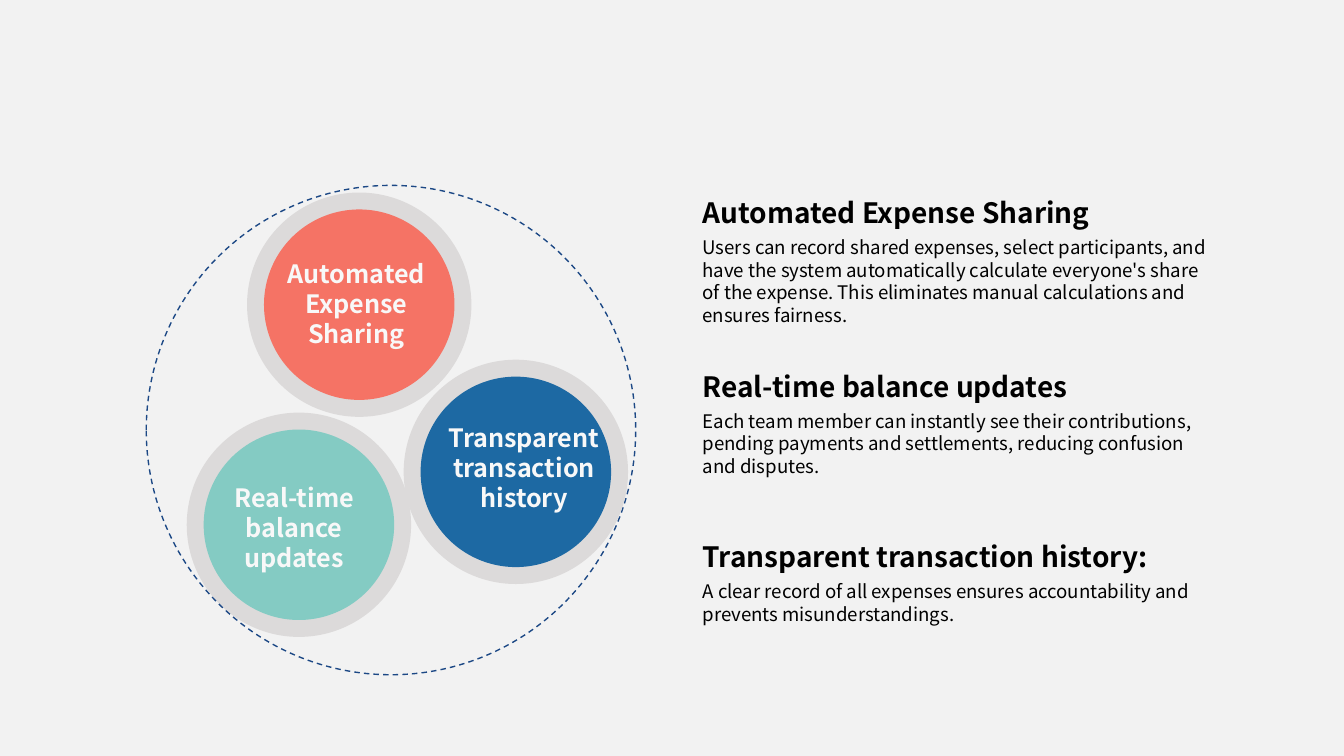
from typing import NamedTuple

from pptx import Presentation
from pptx.dml.color import RGBColor
from pptx.enum.dml import MSO_LINE
from pptx.enum.shapes import MSO_SHAPE
from pptx.enum.text import MSO_AUTO_SIZE, PP_ALIGN
from pptx.util import Cm, Pt

FONT = "Noto Sans CJK SC"
COLORS = {
    "background": "F2F2F2",
    "ring": "DCDADA",
    "orbit": "1C4885",
    "teal": "84CBC3",
    "blue": "1D69A3",
    "coral": "F57365",
    "text": "000000",
    "label": "F8F8F8",
}
RING_D, DISC_D, ORBIT_D = 4.24, 3.6, 9.25
TEXT_LEFT, BODY_W, BODY_DROP = 13.03, 10.18, 0.76


class Bubble(NamedTuple):
    label: str
    color: str
    cx: float
    cy: float
    label_left: float
    label_top: float
    label_w: float


class Feature(NamedTuple):
    heading: str
    body: str
    top: float
    heading_w: float
    body_h: float


BUBBLES = [
    Bubble("Real-time balance updates", "teal", 5.65, 9.92, 3.96, 8.99, 3.2),
    Bubble("Transparent transaction history", "blue", 9.75, 8.92, 8.18, 7.85, 3.45),
    Bubble("Automated Expense Sharing", "coral", 6.79, 5.76, 4.98, 4.75, 3.51),
]
FEATURES = [
    Feature("Automated Expense Sharing",
            "Users can record shared expenses, select participants, and have the "
            "system automatically calculate everyone's share of the expense. This "
            "eliminates manual calculations and ensures fairness.", 3.58, 8.15, 1.96),
    Feature("Real-time balance updates",
            "Each team member can instantly see their contributions, pending "
            "payments and settlements, reducing confusion and disputes.", 6.86, 7.62, 1.55),
    Feature("Transparent transaction history:",
            "A clear record of all expenses ensures accountability and prevents "
            "misunderstandings.", 10.08, 9.09, 1.12),
]


def rgb(name: str) -> RGBColor:
    return RGBColor.from_string(COLORS[name])


def add_circle(s, cx: float, cy: float, d: float, fill: str = "", line: str = ""):
    """Add a circle by its centre; a line, when given, is thin and dashed."""
    sp = s.shapes.add_shape(MSO_SHAPE.OVAL, Cm(cx - d / 2), Cm(cy - d / 2), Cm(d), Cm(d))
    sp.shadow.inherit = False
    if fill:
        sp.fill.solid()
        sp.fill.fore_color.rgb = rgb(fill)
    else:
        sp.fill.background()
    if line:
        sp.line.color.rgb = rgb(line)
        sp.line.width = Pt(0.75)
        sp.line.dash_style = MSO_LINE.DASH
    else:
        sp.line.fill.background()


def add_text(s, text: str, left: float, top: float, w: float, h: float, *, size: float,
             color: str = "text", bold: bool = False, wrap: bool = True,
             align: PP_ALIGN = PP_ALIGN.LEFT):
    tf = s.shapes.add_textbox(Cm(left), Cm(top), Cm(w), Cm(h)).text_frame
    tf.word_wrap = wrap
    tf.auto_size = MSO_AUTO_SIZE.SHAPE_TO_FIT_TEXT
    p = tf.paragraphs[0]
    p.alignment = align
    r = p.add_run()
    r.text = text
    r.font.name = FONT
    r.font.size = Pt(size)
    r.font.bold = bold
    r.font.color.rgb = rgb(color)


def add_bubbles(s, bubbles: list[Bubble]):
    for i, b in enumerate(bubbles):
        add_circle(s, b.cx, b.cy, RING_D, fill="ring")
        if i == 0:  # the orbit crosses over the first ring only
            add_circle(s, 7.39, 8.13, ORBIT_D, line="orbit")
        add_circle(s, b.cx, b.cy, DISC_D, fill=b.color)
    for b in bubbles:
        add_text(s, b.label, b.label_left, b.label_top, b.label_w, 1.98,
                 size=13.5, color="label", bold=True, align=PP_ALIGN.CENTER)


def add_feature(s, f: Feature):
    add_text(s, f.heading, TEXT_LEFT, f.top, f.heading_w, 0.89,
             size=15, bold=True, wrap=False)
    add_text(s, f.body, TEXT_LEFT, f.top + BODY_DROP, BODY_W, f.body_h, size=10)


def main():
    prs = Presentation()
    prs.slide_width, prs.slide_height = Cm(25.4), Cm(14.29)
    s = prs.slides.add_slide(prs.slide_layouts[6])
    s.background.fill.solid()
    s.background.fill.fore_color.rgb = rgb("background")
    add_bubbles(s, BUBBLES)
    for f in FEATURES:
        add_feature(s, f)
    prs.save("out.pptx")


if __name__ == "__main__":
    main()
